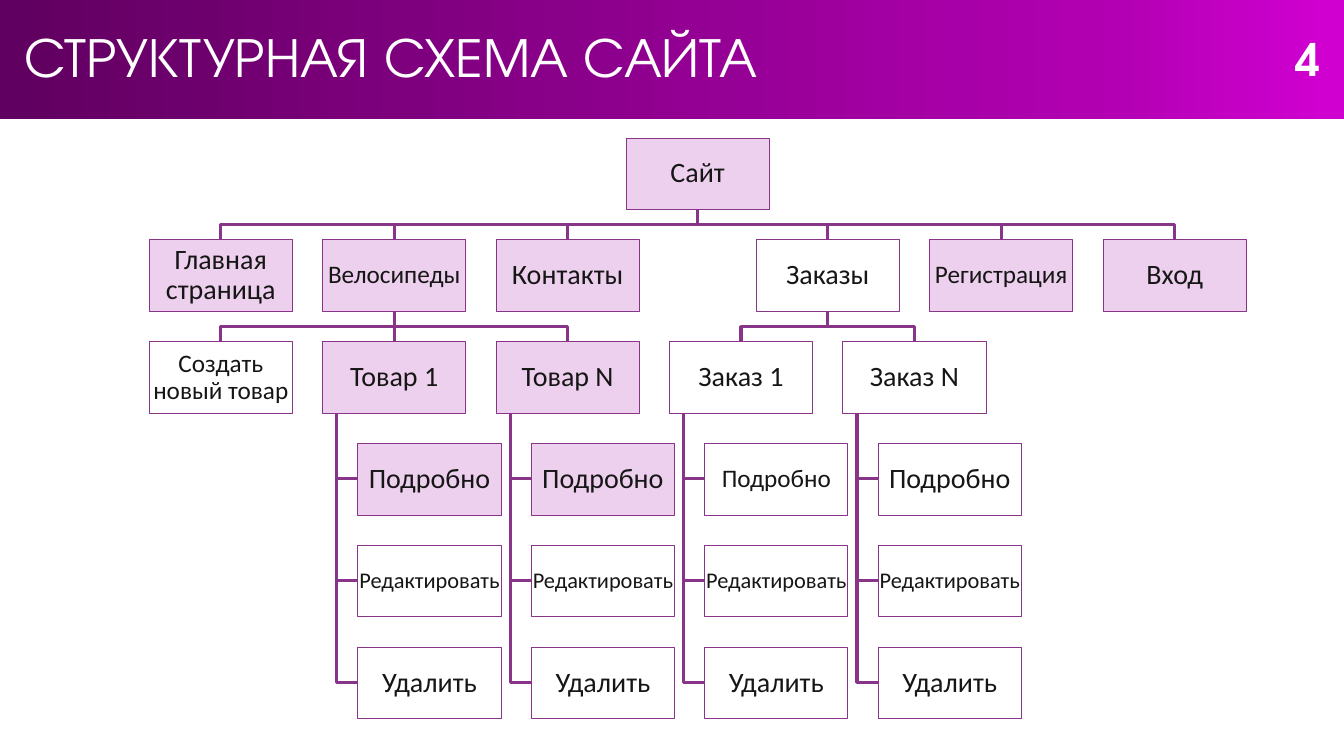
from copy import deepcopy
from dataclasses import dataclass

from lxml.etree import SubElement
from pptx import Presentation
from pptx.dml.color import RGBColor
from pptx.enum.shapes import MSO_CONNECTOR as Connector, MSO_SHAPE as Shape
from pptx.enum.text import MSO_ANCHOR as Anchor, PP_ALIGN as Align
from pptx.oxml.ns import qn
from pptx.util import Pt

PX = 9144  # EMU in one px, 100 px to the inch


@dataclass(frozen=True)
class Theme:
    heading_font: str = "TeX Gyre Adventor"
    body_font: str = "Calibri"
    white: str = "FFFFFF"
    ink: str = "171616"
    purple: str = "883488"
    lilac: str = "EDD0ED"
    banner: tuple = ((0.01, "D000D0"), (0.19, "B000B0"), (1, "600060"))
    title: int = 40
    number: int = 32
    large: int = 20
    medium: int = 18
    small: int = 16
    border: float = 0.75
    link: float = 2.25


THEME = Theme()

# Box grid
BOX_W, BOX_H = 142, 71
LEFT, TOP = 148, 137
COL_STEP, ROW_STEP = 172, 101
ACTION_INDENT, TRUNK_INDENT = 35, 14


def px(*lengths):
    return [round(length * PX) for length in lengths]


def color(code):
    return RGBColor.from_string(code)


def write(shape, text, *, size, font=THEME.body_font, ink=THEME.ink, bold=False,
          align=Align.CENTER, anchor=Anchor.MIDDLE, insets=(1, 1, 1, 1), spacing=0.9):
    frame = shape.text_frame
    frame.word_wrap = True
    frame.vertical_anchor = anchor
    (frame.margin_left, frame.margin_top,
     frame.margin_right, frame.margin_bottom) = px(*insets)
    paragraph = frame.paragraphs[0]
    paragraph.alignment = align
    paragraph.line_spacing = spacing
    run = paragraph.add_run()
    run.text = text
    run.font.name = font
    run.font.size = Pt(size)
    run.font.bold = bold
    run.font.color.rgb = color(ink)


def add_banner(slide, title, number):
    banner = slide.shapes.add_shape(Shape.RECTANGLE, *px(0, 0, 1333, 118))
    banner.shadow.inherit = False
    banner.line.fill.background()
    banner.fill.gradient()
    banner.fill.gradient_angle = 180
    stop_list = banner.fill.gradient_stops
    stops = banner._element.spPr.find(qn("a:gradFill")).find(qn("a:gsLst"))
    stops.append(deepcopy(stops[0]))
    stop_list = banner.fill.gradient_stops
    for stop, (position, code) in zip(stop_list, THEME.banner):
        stop.position = position
        stop.color.rgb = color(code)
    write(banner, title, size=THEME.title, font=THEME.heading_font, ink=THEME.white,
          align=Align.LEFT, insets=(24, 5, 10, 5))

    page = slide.shapes.add_textbox(*px(1261, 27, 73, 64))
    write(page, number, size=THEME.number, font=THEME.heading_font, ink=THEME.white,
          bold=True, anchor=Anchor.TOP, insets=(10, 5, 10, 5), spacing=1.0)


@dataclass
class Page:
    shape: object
    left: int
    top: int

    @property
    def center(self):
        return self.left + BOX_W // 2

    @property
    def middle(self):
        return self.top + BOX_H // 2

    @property
    def bottom(self):
        return self.top + BOX_H


def add_page(slide, text, col, row, *, size=THEME.large, filled=False, indent=0):
    left = round(LEFT + col * COL_STEP) + indent
    top = TOP + row * ROW_STEP
    box = slide.shapes.add_shape(Shape.RECTANGLE, *px(left, top, BOX_W, BOX_H))
    box.shadow.inherit = False
    box.line.color.rgb = color(THEME.purple)
    box.line.width = Pt(THEME.border)
    if filled:
        box.fill.solid()
        box.fill.fore_color.rgb = color(THEME.lilac)
    else:
        box.fill.background()
    write(box, text, size=size)
    return Page(box, left, top)


def style_link(link):
    link.line.color.rgb = color(THEME.purple)
    link.line.width = Pt(THEME.link)


def add_elbow(slide, start, *corners):
    builder = slide.shapes.build_freeform(*start, scale=PX)
    builder.add_line_segments(corners, close=False)
    elbow = builder.convert_to_shape()
    elbow.shadow.inherit = False
    elbow.fill.background()
    style_link(elbow)


def link_below(slide, parent, child):
    """Join a page to a page in the next row."""
    if parent.center == child.center:
        link = slide.shapes.add_connector(Connector.STRAIGHT, 0, 0, 0, 0)
        link.begin_connect(parent.shape, 2)
        link.end_connect(child.shape, 0)
        SubElement(link._element.spPr, qn("a:effectLst"))
        style_link(link)
        return
    bus = (parent.bottom + child.top) // 2
    add_elbow(slide, (parent.center, parent.bottom), (parent.center, bus),
              (child.center, bus), (child.center, child.top))


def link_action(slide, item, action):
    """Join an item to an action that hangs from its trunk."""
    trunk = item.left + TRUNK_INDENT
    add_elbow(slide, (trunk, item.bottom), (trunk, action.middle),
              (action.left, action.middle))


def add_item(slide, section, text, col, *, filled=False, detail_size=THEME.large):
    item = add_page(slide, text, col, 2, filled=filled)
    link_below(slide, section, item)
    actions = (("Подробно", detail_size, filled),
               ("Редактировать", THEME.small, False),
               ("Удалить", THEME.large, False))
    for row, (label, size, shaded) in enumerate(actions, start=3):
        action = add_page(slide, label, col, row, size=size, filled=shaded,
                          indent=ACTION_INDENT)
        link_action(slide, item, action)


def main():
    deck = Presentation()
    deck.slide_width, deck.slide_height = px(1333, 750)
    slide = deck.slides.add_slide(deck.slide_layouts[6])
    add_banner(slide, "СТРУКТУРНАЯ СХЕМА САЙТА", "4")

    # Site and its sections
    site = add_page(slide, "Сайт", 2.75, 0, filled=True)
    sections = {}
    for text, col, size, filled in (
        ("Главная страница", 0, THEME.large, True),
        ("Велосипеды", 1, THEME.medium, True),
        ("Контакты", 2, THEME.large, True),
        ("Заказы", 3.5, THEME.large, False),
        ("Регистрация", 4.5, THEME.medium, True),
        ("Вход", 5.5, THEME.large, True),
    ):
        sections[text] = add_page(slide, text, col, 1, size=size, filled=filled)
        link_below(slide, site, sections[text])

    # Goods
    bikes = sections["Велосипеды"]
    new_product = add_page(slide, "Создать новый товар", 0, 2, size=THEME.medium)
    link_below(slide, bikes, new_product)
    add_item(slide, bikes, "Товар 1", 1, filled=True)
    add_item(slide, bikes, "Товар N", 2, filled=True)

    # Orders
    orders = sections["Заказы"]
    add_item(slide, orders, "Заказ 1", 3, detail_size=THEME.medium)
    add_item(slide, orders, "Заказ N", 4)

    deck.save("out.pptx")


if __name__ == "__main__":
    main()
